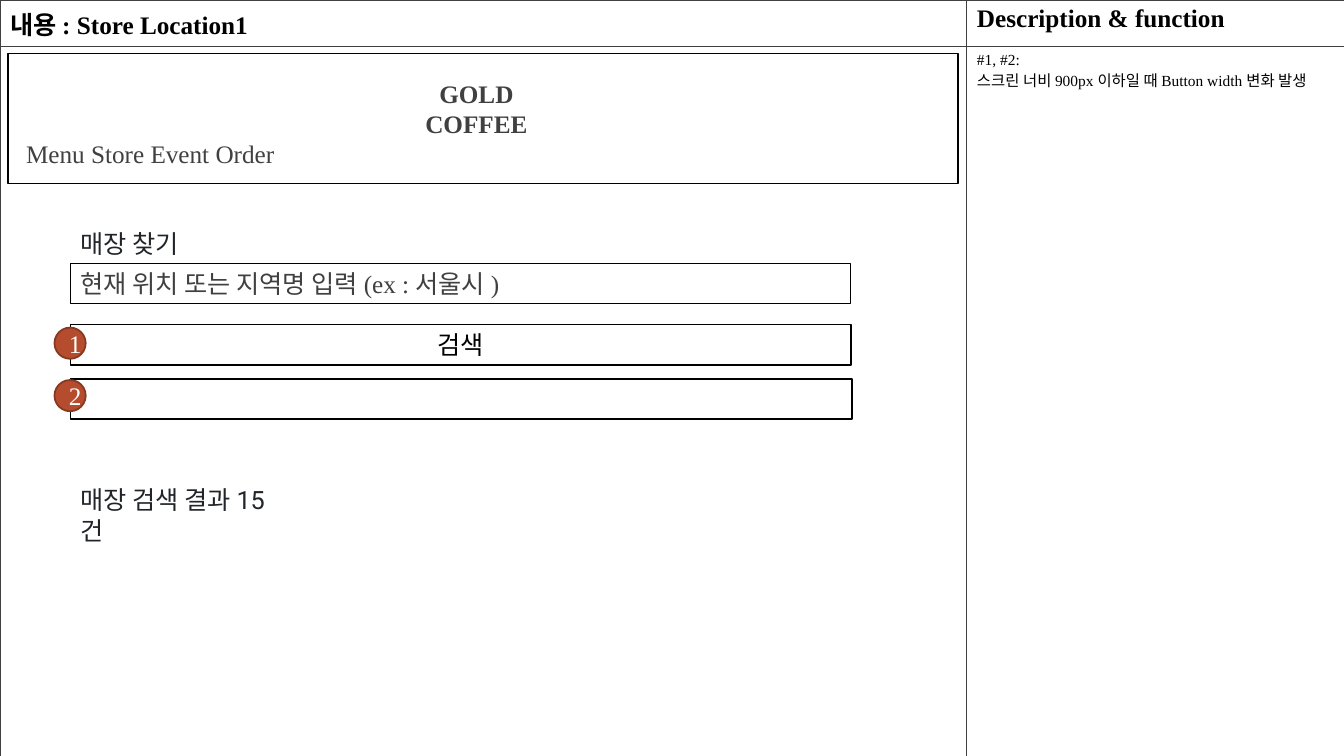
from lxml import etree
from pptx import Presentation
from pptx import util as u
from pptx.dml.color import RGBColor
from pptx.enum import shapes, text
from pptx.oxml import ns

BLACK = RGBColor(0, 0, 0)
WHITE = RGBColor(255, 255, 255)
GRAY = RGBColor(0x40, 0x40, 0x40)
INK = RGBColor(0x21, 0x25, 0x29)
RUST = RGBColor(0xB5, 0x4C, 0x2D)
DARK_RUST = RGBColor(0x86, 0x38, 0x21)
SERIF = "Times New Roman"
SANS = "Roboto"


def write(frame, content, color, size=18, font=SERIF, bold=False, align=text.PP_ALIGN.LEFT):
    frame.text = content
    for paragraph in frame.paragraphs:
        paragraph.alignment = align
        for run in paragraph.runs:
            run.font.name = font
            run.font.size = u.Pt(size)
            run.font.bold = bold
            run.font.color.rgb = color


def add_box(kind, left, top, width, height, fill, line, weight):
    shape = slide.shapes.add_shape(
        kind, u.Inches(left), u.Inches(top), u.Inches(width), u.Inches(height))
    shape.shadow.inherit = False
    if fill is None:
        shape.fill.background()
    else:
        shape.fill.solid()
        shape.fill.fore_color.rgb = fill
    shape.line.color.rgb = line
    shape.line.width = u.Pt(weight)
    shape.text_frame.word_wrap = True
    return shape


presentation = Presentation()
presentation.slide_width = u.Inches(13.33)
presentation.slide_height = u.Inches(7.5)
slide = presentation.slides.add_slide(presentation.slide_layouts[6])

table = slide.shapes.add_table(
    2, 2, 0, 0, u.Inches(13.33), u.Inches(7.5)).table
table.first_row = False
table.horz_banding = False
for column, width in zip(table.columns, (9.59, 3.75)):
    column.width = u.Inches(width)
for row, height in zip(table.rows, (0.4, 7.1)):
    row.height = u.Inches(height)

write(table.cell(0, 0).text_frame, "내용 : Store Location1", BLACK, bold=True)
write(table.cell(0, 1).text_frame, "Description & function", BLACK, bold=True)
write(table.cell(1, 1).text_frame,
      "#1, #2:\n스크린 너비 900px 이하일 때 Button width 변화 발생", BLACK, size=11)

for cell in table.iter_cells():
    cell.fill.solid()
    cell.fill.fore_color.rgb = WHITE
    properties = cell._tc.get_or_add_tcPr()
    for position, side in enumerate(("lnL", "lnR", "lnT", "lnB")):
        border = etree.Element(ns.qn(f"a:{side}"), w=str(u.Pt(1)))
        solid = etree.SubElement(border, ns.qn("a:solidFill"))
        etree.SubElement(solid, ns.qn("a:srgbClr"), val=str(GRAY))
        properties.insert(position, border)

RECTANGLE = shapes.MSO_SHAPE.RECTANGLE
CENTER = text.PP_ALIGN.CENTER
add_box(RECTANGLE, 0.08, 0.53, 9.42, 1.29, WHITE, BLACK, 1.25)

labels = [
    ("Menu Store Event Order", 0.16, 1.32, 2.79, 0.4, GRAY, SERIF, False, text.PP_ALIGN.LEFT),
    ("GOLD\nCOFFEE", 3.33, 0.73, 2.79, 0.71, GRAY, SERIF, True, CENTER),
    ("매장 찾기", 0.7, 2.22, 1.27, 0.4, INK, SANS, False, text.PP_ALIGN.LEFT),
    ("매장 검색 결과 15건", 0.7, 4.76, 2.2, 0.71, INK, SANS, False, text.PP_ALIGN.LEFT),
]
for content, left, top, width, height, color, font, bold, align in labels:
    label = slide.shapes.add_textbox(
        u.Inches(left), u.Inches(top), u.Inches(width), u.Inches(height))
    label.text_frame.word_wrap = True
    write(label.text_frame, content, color, font=font, bold=bold, align=align)

search_field = add_box(RECTANGLE, 0.7, 2.61, 7.74, 0.4, None, BLACK, 0.75)
search_field.text_frame.vertical_anchor = text.MSO_ANCHOR.TOP
write(search_field.text_frame, "현재 위치 또는 지역명 입력 (ex : 서울시 )", GRAY)

search_button = add_box(RECTANGLE, 0.7, 3.22, 7.74, 0.4, WHITE, BLACK, 1.25)
write(search_button.text_frame, "검색", BLACK, align=CENTER)
add_box(RECTANGLE, 0.7, 3.76, 7.75, 0.4, WHITE, BLACK, 1.25)

for number, top in (("1", 3.25), ("2", 3.77)):
    marker = add_box(shapes.MSO_SHAPE.OVAL, 0.54, top, 0.31, 0.31, RUST, DARK_RUST, 1.25)
    write(marker.text_frame, number, WHITE, align=CENTER)

presentation.save("out.pptx")
